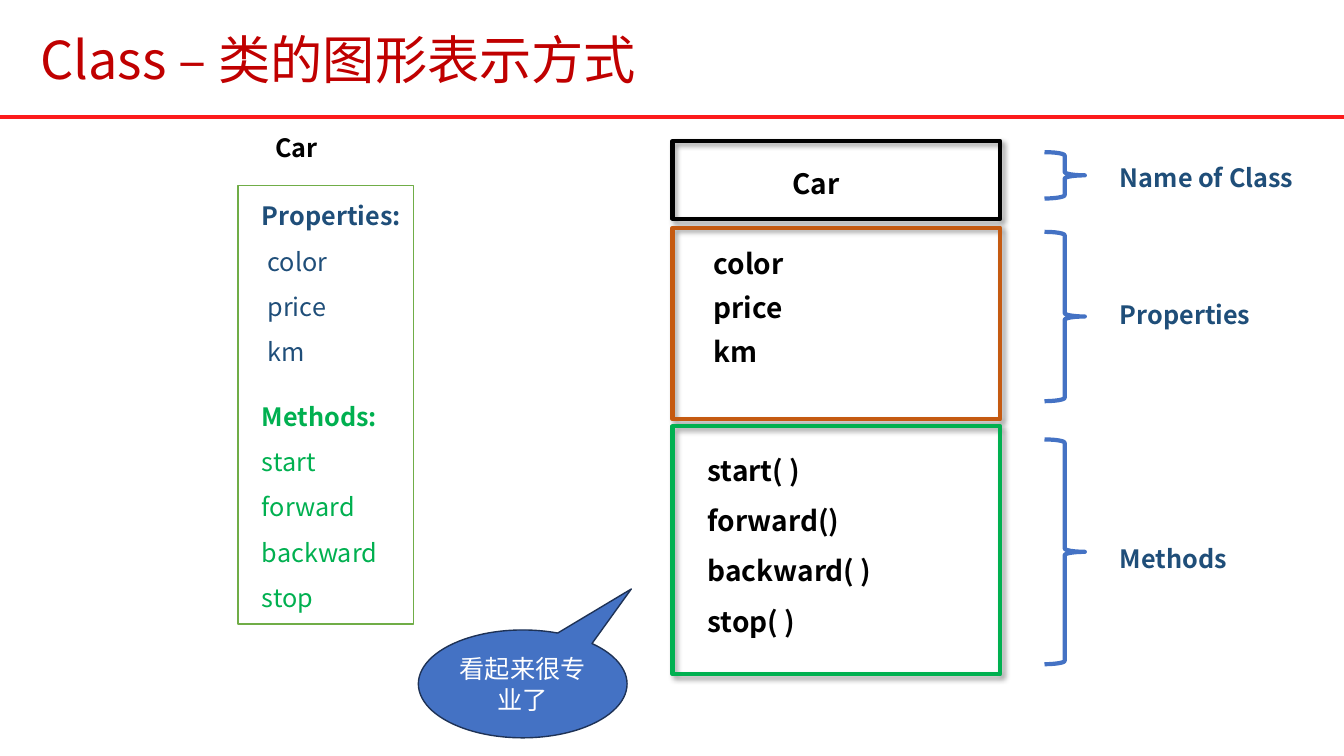
"""Build a slide that shows how a class is drawn as a diagram."""
from lxml import etree
from pptx import Presentation
from pptx.dml.color import RGBColor
from pptx.enum.shapes import MSO_CONNECTOR, MSO_SHAPE
from pptx.enum.text import MSO_ANCHOR, PP_ALIGN
from pptx.oxml.ns import qn
from pptx.util import Inches, Pt

RECT = MSO_SHAPE.RECTANGLE
BRACE = MSO_SHAPE.RIGHT_BRACE
BUBBLE = MSO_SHAPE.OVAL_CALLOUT
LINE = MSO_CONNECTOR.STRAIGHT
MIDDLE = MSO_ANCHOR.MIDDLE
CENTER = PP_ALIGN.CENTER
FACE = "Noto Sans CJK SC"
NAVY, BLUE, GREEN, BLACK = "1F4E79", "4472C4", "00B050", "000000"
CELL = Inches(0.1)
color = RGBColor.from_string

deck = Presentation()
deck.slide_width, deck.slide_height = Inches(13.33), Inches(7.5)
slide = deck.slides.add_slide(deck.slide_layouts[6])
shapes = slide.shapes


def draw(kind, cells, edge, width):
    """Add an unfilled outline, placed in grid cells."""
    shape = shapes.add_shape(kind, *[int(n * CELL) for n in cells])
    shape.shadow.inherit = False
    shape.fill.background()
    shape.line.color.rgb = color(edge)
    shape.line.width = Pt(width)
    return shape


def write(cells, lines, size, ink, bold=True, space=1.0, wrap=True, box=None):
    """Write lines in a box; bold may be limited to the first line."""
    box = box or shapes.add_textbox(*[int(n * CELL) for n in cells])
    frame = box.text_frame
    frame.text = "\n".join(lines)
    frame.word_wrap = wrap
    for i, para in enumerate(frame.paragraphs):
        para.line_spacing = space
        for run in para.runs:
            run.font.size = Pt(size)
            run.font.name = FACE
            run.font.bold = bold is True or (bold == "first" and i == 0)
            run.font.color.rgb = color(ink)
            east = etree.Element(qn("a:ea"), typeface=FACE)
            run.font._element.find(qn("a:latin")).addnext(east)
    return frame


rule = shapes.add_connector(LINE, 0, int(11.6 * CELL), deck.slide_width, int(11.6 * CELL))
rule.line.color.rgb = color("FC1B1C")
rule.line.width = Pt(3)
etree.SubElement(rule._element.spPr, qn("a:effectLst"))

title = write((4, 1.3, 128.5, 9.8), ["Class – 类的图形表示方式"], 37.3, "C00000", False, 0.9)
title.vertical_anchor = MIDDLE
title.margin_left = title.margin_right = title.margin_top = title.margin_bottom = 0

for top, high, edge in [(14, 7.7, BLACK), (22.6, 19, "C55A11"), (42.3, 24.6, GREEN)]:
    part = draw(RECT, (66.7, top, 32.5, high), edge, 3)
    cast = etree.SubElement(
        part._element.spPr.find(qn("a:effectLst")), qn("a:outerShdw"),
        blurRad=str(Pt(4)), dist=str(Pt(3)), dir=str(45 * 60000), algn="tl", rotWithShape="0")
    shade = etree.SubElement(cast, qn("a:srgbClr"), val=BLACK)
    etree.SubElement(shade, qn("a:alpha"), val="40000")

write((77.6, 16, 7.3, 4.4), ["Car"], 20, BLACK)
write((69.8, 23, 11.6, 13.8), ["color", "price", "km"], 20, BLACK, space=1.3)
calls = ["start( )", "forward()", "backward( )", "stop( )"]
write((69.2, 42.8, 25, 20.7), calls, 20, BLACK, space=1.5)

write((26.3, 12.6, 6.8, 4), ["Car"], 18, BLACK, wrap=False)
traits = write((25, 17.9, 16.1, 25.2), ["Properties:", "color", "price", "km"],
               18, NAVY, "first", 1.5, False)
for para in traits.paragraphs[1:]:
    props = para._p.get_or_add_pPr()
    props.set("marL", str(Pt(4)))
    props.set("indent", "0")
acts = ["Methods:", "start", "forward", "backward", "stop"]
write((25, 37.8, 14.7, 23.3), acts, 18, GREEN, "first", 1.5, False)

for name, label, top, high in [("Name of Class", 15.6, 15.1, 4.6),
                               ("Properties", 29.2, 23, 16.8),
                               ("Methods", 53.4, 43.6, 22.3)]:
    draw(BRACE, (103.6, top, 4, high), BLUE, 3)
    write((110.1, label, 22, 4), [name], 18, NAVY)

bubble = draw(BUBBLE, (41.5, 62.5, 20.7, 10.7), "1E3256", 1)
bubble.fill.solid()
bubble.fill.fore_color.rgb = color(BLUE)
bubble.adjustments[0], bubble.adjustments[1] = 0.52, -0.88
remark = write(None, ["看起来很专业了"], 18, "FFFFFF", False, box=bubble)
remark.vertical_anchor = MIDDLE
remark.paragraphs[0].alignment = CENTER

draw(RECT, (23.6, 18.4, 17.4, 43.5), "70AD47", 1)

deck.save("out.pptx")
